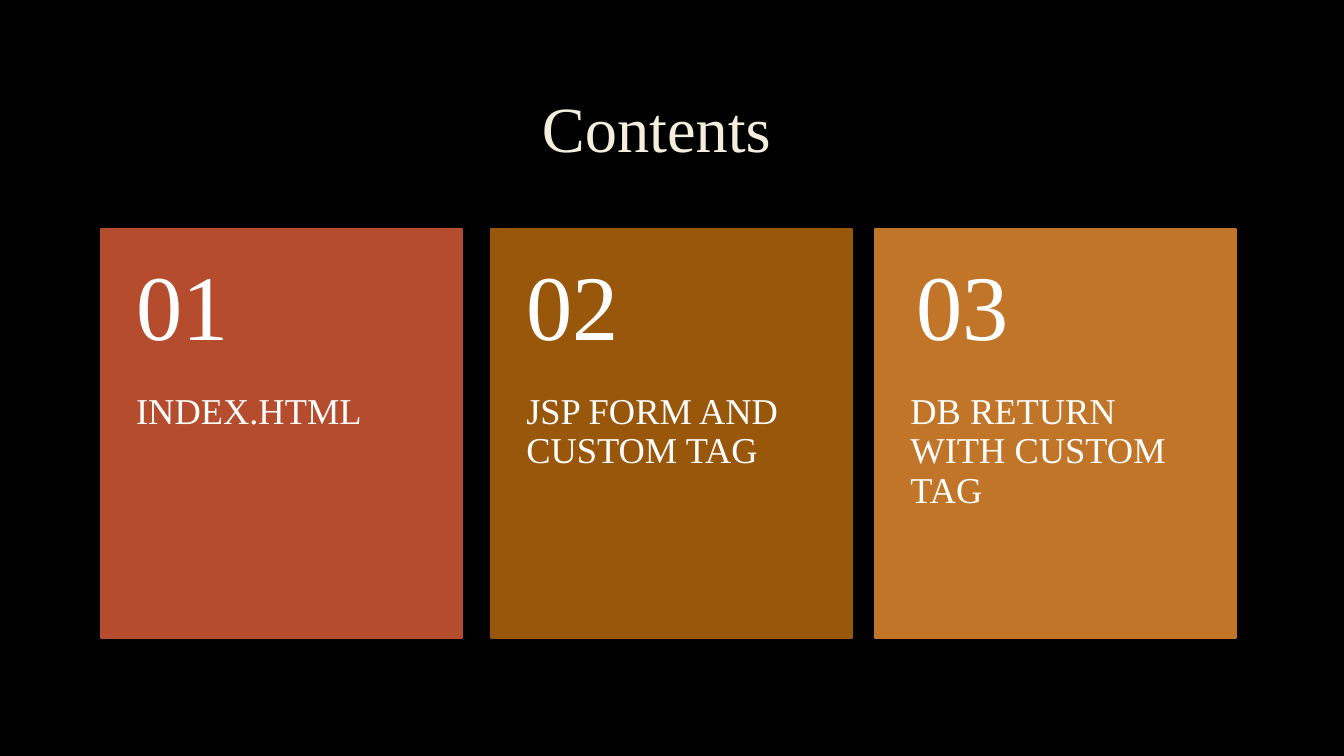
from pptx import Presentation
from pptx.dml.color import RGBColor
from pptx.enum.shapes import MSO_SHAPE
from pptx.enum.text import MSO_ANCHOR, PP_ALIGN
from pptx.util import Inches, Pt

RECTANGLE = MSO_SHAPE.RECTANGLE
TOP, MIDDLE = MSO_ANCHOR.TOP, MSO_ANCHOR.MIDDLE
LEFT, CENTER = PP_ALIGN.LEFT, PP_ALIGN.CENTER

CARD_TOP, CARD_WIDTH, CARD_HEIGHT = 2.27, 3.58, 4.06
NUMBER_HEIGHT = 1.62
CAPTION_TOP, CAPTION_HEIGHT = 3.9, 2.44
CARDS = [
    (1, 1, "B54C2D", "01", "INDEX.HTML"),
    (4.87, 4.87, "99570C", "02", "JSP FORM AND CUSTOM TAG"),
    (8.68, 8.74, "C17529", "03", "DB RETURN WITH CUSTOM TAG"),
]


def color(value):
    return RGBColor.from_string(value)


class ContentsSlide:
    """Holds the text style and the slide, and draws the elements on it."""

    font_name = "Times New Roman"
    line_spacing = 0.9

    def __init__(self, presentation, background):
        self.slide = presentation.slides.add_slide(presentation.slide_layouts[6])
        fill = self.slide.background.fill
        fill.solid()
        fill.fore_color.rgb = color(background)

    def panel(self, left, top, width, height, fill):
        shape = self.slide.shapes.add_shape(
            RECTANGLE, Inches(left), Inches(top), Inches(width), Inches(height))
        shape.shadow.inherit = False
        shape.fill.solid()
        shape.fill.fore_color.rgb = color(fill)
        shape.line.color.rgb = color(fill)
        shape.line.width = Pt(1.25)

    def text(self, left, top, width, height, words, size, margins,
             font_color="FFFFFF", anchor=TOP, alignment=LEFT):
        shape = self.slide.shapes.add_textbox(
            Inches(left), Inches(top), Inches(width), Inches(height))
        frame = shape.text_frame
        frame.word_wrap = True
        frame.vertical_anchor = anchor
        (frame.margin_left, frame.margin_top,
         frame.margin_right, frame.margin_bottom) = map(Inches, margins)
        paragraph = frame.paragraphs[0]
        paragraph.alignment = alignment
        paragraph.line_spacing = self.line_spacing
        run = paragraph.add_run()
        run.text = words
        run.font.name = self.font_name
        run.font.size = Pt(size)
        run.font.color.rgb = color(font_color)

    def card(self, left, number_left, fill, number, caption):
        self.panel(left, CARD_TOP, CARD_WIDTH, CARD_HEIGHT, fill)
        self.text(left, CAPTION_TOP, CARD_WIDTH, CAPTION_HEIGHT, caption, 26,
                  (0.35, 0, 0.35, 0.36))
        self.text(number_left, CARD_TOP, CARD_WIDTH, NUMBER_HEIGHT, number, 66,
                  (0.35, 0.18, 0.35, 0.18), anchor=MIDDLE)


def main():
    presentation = Presentation()
    presentation.slide_width = Inches(13.33)
    presentation.slide_height = Inches(7.5)
    contents = ContentsSlide(presentation, "000000")
    contents.text(0.85, 0.62, 11.32, 1.38, "Contents", 46, (0.1, 0.05, 0.1, 0.05),
                  font_color="F4EEDC", anchor=MIDDLE, alignment=CENTER)
    for card in CARDS:
        contents.card(*card)
    presentation.save("out.pptx")


if __name__ == "__main__":
    main()
